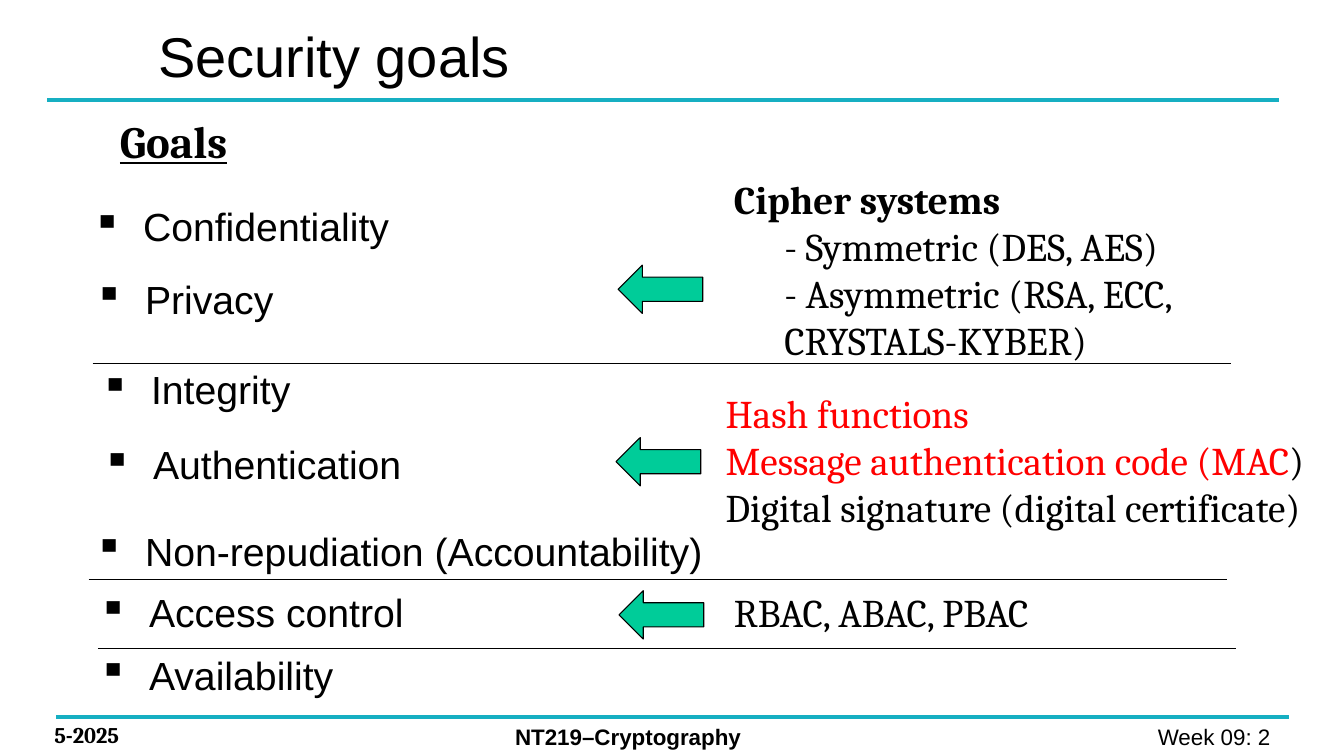
from dataclasses import dataclass

import pptx
import pptx.dml.color
import pptx.enum.shapes
import pptx.enum.text
import pptx.oxml.ns
import pptx.util
from lxml import etree
from pptx.util import Inches

RGB = pptx.dml.color.RGBColor.from_string
ALIGN = pptx.enum.text.PP_ALIGN


@dataclass(frozen=True)
class Theme:
    sans: str = "Arial"
    serif: str = "Cambria"
    ink: str = "000000"
    accent: str = "16AFC2"
    alert: str = "FF0000"
    arrow: str = "00CC99"
    title: int = 40
    heading: int = 32
    body: int = 28
    footer: int = 16
    rule: float = 3
    hairline: float = 0.75


T = Theme()
SANS = {"name": T.sans, "size": T.body, "color": T.ink}
SERIF = {**SANS, "name": T.serif}
RED = {**SERIF, "color": T.alert}


def style(font, fmt):
    """Apply a dict of format values to a font."""
    for key, value in fmt.items():
        if key == "color":
            font.color.rgb = RGB(value)
        elif key == "size":
            font.size = pptx.util.Pt(value)
        else:
            setattr(font, key, value)


def add_text(s, box, paragraphs, wrap=True, grow=True, align=ALIGN.LEFT):
    """Add a text box; each paragraph is a list of (text, format) runs."""
    tf = s.shapes.add_textbox(*map(Inches, box)).text_frame
    size = pptx.enum.text.MSO_AUTO_SIZE
    tf.word_wrap = wrap
    tf.auto_size = size.SHAPE_TO_FIT_TEXT if grow else size.NONE
    for i, runs in enumerate(paragraphs):
        p = tf.paragraphs[0] if i == 0 else tf.add_paragraph()
        p.alignment = align
        for text, fmt in runs:
            r = p.add_run()
            r.text = text
            style(r.font, fmt)
    return tf


def indent(p, left, first):
    pPr = p._p.get_or_add_pPr()
    pPr.set("marL", str(Inches(left)))
    pPr.set("indent", str(Inches(first)))
    return pPr


def add_goal(s, text, x, y, w):
    """Add one bulleted goal."""
    tf = add_text(s, (x, y, w, 0.57), [[(text, SANS)]], wrap=False)
    pPr = indent(tf.paragraphs[0], 0.5, -0.5)
    bullet = etree.SubElement(pPr, pptx.oxml.ns.qn("a:buChar"))
    bullet.set("char", "▪")


def add_rule(s, x, y, length, color, width):
    """Add a horizontal line."""
    line = s.shapes.add_connector(
        pptx.enum.shapes.MSO_CONNECTOR.STRAIGHT,
        Inches(x), Inches(y), Inches(x + length), Inches(y))
    line.line.color.rgb = RGB(color)
    line.line.width = pptx.util.Pt(width)
    etree.SubElement(line._element.spPr, pptx.oxml.ns.qn("a:effectLst"))


def add_arrow(s, x, y):
    """Add an arrow that points from the mechanisms to the goals."""
    sp = s.shapes.add_shape(
        pptx.enum.shapes.MSO_SHAPE.DOWN_ARROW,
        Inches(x), Inches(y), Inches(0.48), Inches(0.84))
    sp.rotation = 90
    sp.shadow.inherit = False
    sp.fill.solid()
    sp.fill.fore_color.rgb = RGB(T.arrow)
    sp.line.color.rgb = RGB(T.ink)
    sp.line.width = pptx.util.Pt(T.hairline)


def add_frame(s):
    """Add the title, the accent rules and the footer."""
    for x, y in ((0.47, 0.99), (0.56, 7.11)):
        add_rule(s, x, y, 12.22, T.accent, T.rule)
    tf = add_text(s, (1.47, 0.11, 7.28, 0.87),
                  [[("Security goals", {**SANS, "size": T.title})]], grow=False)
    tf.vertical_anchor = pptx.enum.text.MSO_ANCHOR.MIDDLE
    small = {"size": T.footer}
    for text, box, fmt, align in (
        ("5-2025", (0.44, 7.11, 1.78, 0.37), {**SERIF, "bold": True}, ALIGN.LEFT),
        ("NT219–Cryptography", (5.01, 7.12, 4.09, 0.37), {**SANS, "bold": True}, ALIGN.LEFT),
        ("Week 09: 2 ", (9.82, 7.12, 2.94, 0.37), SANS, ALIGN.RIGHT),
    ):
        add_text(s, box, [[(text, {**fmt, **small})]], align=align)


def add_goals(s):
    """Add the heading and the goals on the left."""
    heading = {**SERIF, "size": T.heading, "bold": True, "underline": True}
    add_text(s, (1.09, 1.08, 1.3, 0.64), [[("Goals", heading)]], wrap=False)
    for goal in (
        ("Confidentiality", 0.82, 1.96, 3.18),
        ("Privacy", 0.84, 2.68, 2),
        ("Integrity", 0.9, 3.58, 2.11),
        ("Authentication", 0.92, 4.32, 3.2),
        ("Non-repudiation (Accountability)", 0.84, 5.18, 6.33),
        ("Access control", 0.88, 5.79, 3.26),
        ("Availability", 0.88, 6.41, 2.56),
    ):
        add_goal(s, *goal)


def add_mechanisms(s):
    """Add the mechanisms on the right."""
    tf = add_text(s, (7.18, 1.69, 5.95, 1.99), [
        [("Cipher systems", {**SERIF, "bold": True})],
        [("- Symmetric (DES, AES)", SERIF)],
        [("- Asymmetric (RSA, ECC, CRYSTALS-KYBER)", SERIF)],
    ])
    for p in tf.paragraphs[1:]:
        p.level = 1
        indent(p, 0.5, 0)
    add_text(s, (7.1, 3.81, 6.33, 1.51), [
        [("Hash functions", RED)],
        [("Message authentication code (MAC", RED), (")", SERIF)],
        [("Digital signature (digital certificate)", SERIF)],
    ])
    add_text(s, (7.18, 5.79, 3.76, 0.57), [[("RBAC, ABAC, PBAC", SERIF)]], wrap=False)


def main():
    prs = pptx.Presentation()
    prs.slide_width, prs.slide_height = Inches(13.33), Inches(7.5)
    s = prs.slides.add_slide(prs.slide_layouts[6])
    add_frame(s)
    add_goals(s)
    add_mechanisms(s)
    # Dividers between the groups of goals
    for x, y in ((0.92, 3.61), (0.88, 5.75), (0.97, 6.43)):
        add_rule(s, x, y, 11.29, T.ink, T.hairline)
    # Arrows from mechanisms to goals
    for x, y in ((6.31, 2.45), (6.29, 4.16), (6.32, 5.68)):
        add_arrow(s, x, y)
    prs.save("out.pptx")


if __name__ == "__main__":
    main()
